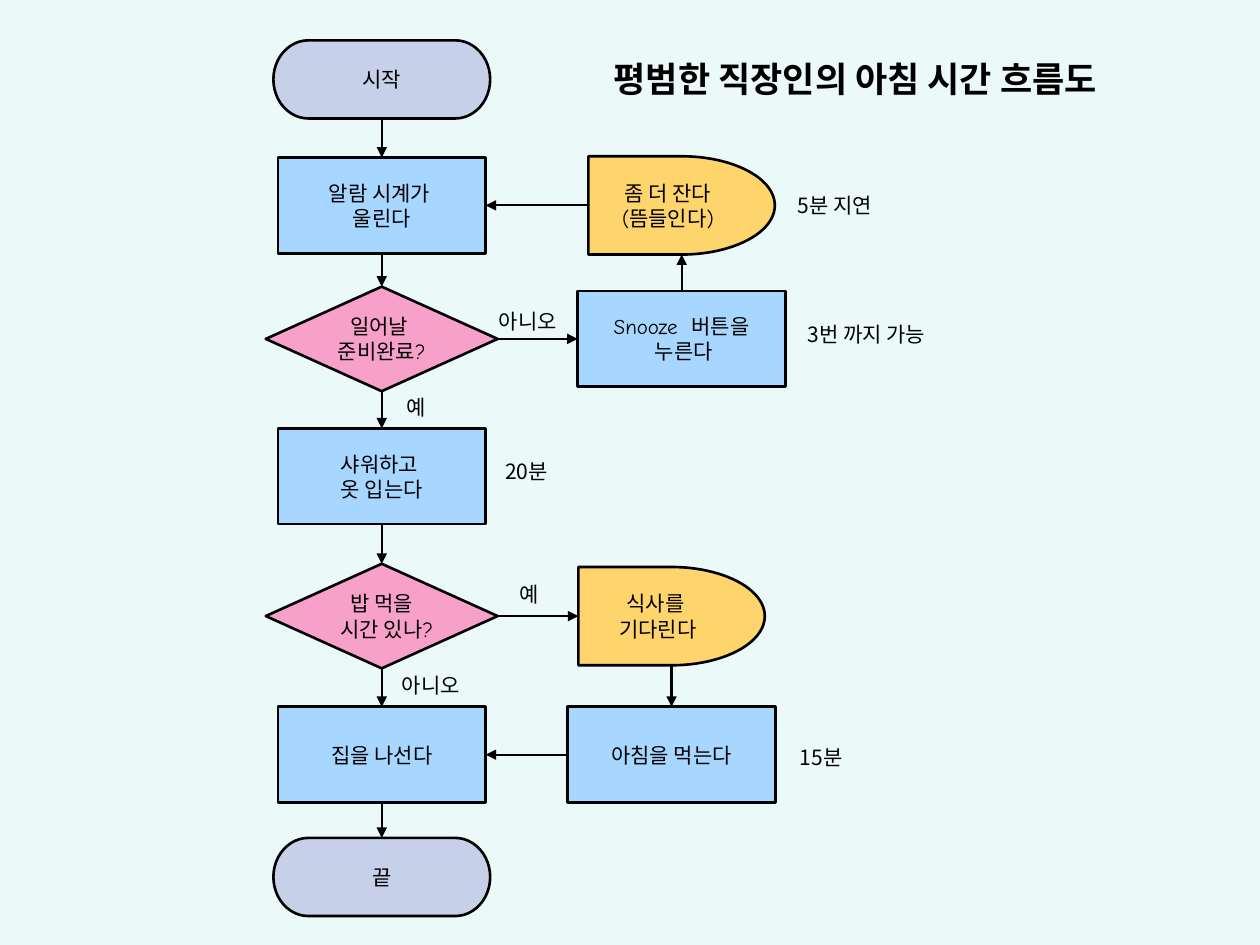
from lxml import etree
from pptx import Presentation
from pptx.dml.color import RGBColor
from pptx.enum.shapes import MSO_CONNECTOR, MSO_SHAPE as Shape
from pptx.enum.text import MSO_ANCHOR as Anchor, MSO_AUTO_SIZE as AutoSize, PP_ALIGN as Align
from pptx.oxml.ns import qn
from pptx.util import Inches, Pt

BACKGROUND = RGBColor(0xEB, 0xF9, 0xF8)
LAVENDER = RGBColor(0xC7, 0xD0, 0xE9)
BLUE = RGBColor(0xA7, 0xD6, 0xFF)
PINK = RGBColor(0xF7, 0xA1, 0xCA)
YELLOW = RGBColor(0xFE, 0xD4, 0x6C)
BLACK = RGBColor(0, 0, 0)
KOREAN_FONT = "Noto Sans CJK KR"
NODE_FONT = "Comic Neue"
TOP, LEFT, BOTTOM, RIGHT = range(4)

KINDS = {
    "terminal": (Shape.FLOWCHART_TERMINATOR, LAVENDER, 1.72, 0.62),
    "process": (Shape.FLOWCHART_PROCESS, BLUE, 1.65, 0.76),
    "decision": (Shape.FLOWCHART_DECISION, PINK, 1.84, 0.83),
    "delay": (Shape.FLOWCHART_DELAY, YELLOW, 1.48, 0.78),
}
MAIN_X = 3.03
NODES = {
    "start": ("terminal", MAIN_X, 0.63, "시작"),
    "alarm": ("process", MAIN_X, 1.63, "알람 시계가 \v울린다"),
    "ready": ("decision", MAIN_X, 2.69, "일어날 \v준비완료?"),
    "shower": ("process", MAIN_X, 3.78, "샤워하고 \v옷 입는다"),
    "meal_time": ("decision", MAIN_X, 4.89, "밥 먹을 시간 있나?"),
    "leave": ("process", MAIN_X, 5.99, "집을 나선다"),
    "end": ("terminal", MAIN_X, 6.96, "끝"),
    "sleep": ("delay", 5.41, 1.63, "좀 더 잔다\v(뜸들인다)"),
    "snooze": ("process", 5.41, 2.69, "Snooze  버튼을\v 누른다"),
    "wait": ("delay", 5.33, 4.89, "식사를 \v기다린다"),
    "eat": ("process", 5.33, 5.99, "아침을 먹는다"),
}
MAIN_FLOW = ["start", "alarm", "ready", "shower", "meal_time", "leave", "end"]
BRANCHES = [
    ("ready", RIGHT, "snooze", LEFT),
    ("snooze", TOP, "sleep", BOTTOM),
    ("sleep", LEFT, "alarm", RIGHT),
    ("meal_time", RIGHT, "wait", LEFT),
    ("wait", BOTTOM, "eat", TOP),
    ("eat", LEFT, "leave", RIGHT),
]
LABELS = [
    ("5분 지연", 6.23, 1.48, 1.09, Align.LEFT),
    ("3번 까지 가능", 6.31, 2.5, 1.33, Align.LEFT),
    ("20분", 3.91, 3.59, 1.09, Align.LEFT),
    ("15분", 6.25, 5.86, 1.09, Align.LEFT),
    (" 예", 3.05, 3.08, 0.47, Align.CENTER),
    ("아니오", 2.99, 5.29, 0.86, Align.CENTER),
    (" 예", 3.95, 4.57, 0.47, Align.CENTER),
    ("아니오", 3.76, 2.4, 0.86, Align.CENTER),
]


def write_text(shape, text, font_name, size, align, anchor, bold=False):
    """Fill a shape with one formatted paragraph."""
    frame = shape.text_frame
    frame.word_wrap = True
    frame.auto_size = AutoSize.NONE
    frame.vertical_anchor = anchor
    paragraph = frame.paragraphs[0]
    paragraph.text = text
    paragraph.alignment = align
    for run in paragraph.runs:
        run.font.name = font_name
        run.font.size = Pt(size)
        run.font.bold = bold
        run.font.color.rgb = BLACK
        east_asian = etree.Element(qn("a:ea"), typeface=KOREAN_FONT)
        run.font._element.find(qn("a:latin")).addnext(east_asian)
    return paragraph


def add_title(slide, left, top, width, height):
    """Place the chart heading in the title placeholder."""
    title = slide.shapes.title
    title.left, title.top = Inches(left), Inches(top)
    title.width, title.height = Inches(width), Inches(height)
    paragraph = write_text(title, "평범한 직장인의 아침 시간 흐름도", KOREAN_FONT, 20,
                           Align.LEFT, Anchor.TOP, bold=True)
    paragraph.line_spacing = 1.5


def add_node(slide, kind, center_x, center_y, text):
    """Draw one flowchart step around its centre."""
    preset, color, width, height = KINDS[kind]
    node = slide.shapes.add_shape(
        preset, Inches(center_x - width / 2), Inches(center_y - height / 2),
        Inches(width), Inches(height))
    node.shadow.inherit = False
    node.fill.solid()
    node.fill.fore_color.rgb = color
    node.line.color.rgb = BLACK
    node.line.width = Pt(1.5)
    write_text(node, text, NODE_FONT, 12, Align.CENTER, Anchor.MIDDLE)
    return node


def add_arrow(slide, source, source_side, target, target_side):
    """Join two steps with a straight arrow."""
    arrow = slide.shapes.add_connector(MSO_CONNECTOR.STRAIGHT, 0, 0, 0, 0)
    arrow.begin_connect(source, source_side)
    arrow.end_connect(target, target_side)
    arrow.line.color.rgb = BLACK
    arrow.line.width = Pt(1.25)
    properties = arrow._element.spPr
    etree.SubElement(properties.find(qn("a:ln")), qn("a:tailEnd"), type="triangle")
    etree.SubElement(properties, qn("a:effectLst"))


def add_label(slide, text, left, top, width, align):
    """Write a short remark beside a step or an arrow."""
    label = slide.shapes.add_textbox(Inches(left), Inches(top), Inches(width), Inches(0.3))
    write_text(label, text, KOREAN_FONT, 12, align, Anchor.TOP)


def add_flowchart(slide):
    """Draw the steps, the arrows between them and the remarks."""
    nodes = {name: add_node(slide, *details) for name, details in NODES.items()}
    main_arrows = [(source, BOTTOM, target, TOP)
                   for source, target in zip(MAIN_FLOW, MAIN_FLOW[1:])]
    for source, source_side, target, target_side in main_arrows + BRANCHES:
        add_arrow(slide, nodes[source], source_side, nodes[target], target_side)
    for label in LABELS:
        add_label(slide, *label)


def main():
    """Build the slide and save it."""
    presentation = Presentation()
    presentation.slide_width, presentation.slide_height = Inches(10), Inches(7.5)
    slide = presentation.slides.add_slide(presentation.slide_layouts[5])
    slide.background.fill.solid()
    slide.background.fill.fore_color.rgb = BACKGROUND
    add_title(slide, 4.77, 0.24, 4.84, 0.6)
    add_flowchart(slide)
    presentation.save("out.pptx")


if __name__ == "__main__":
    main()
